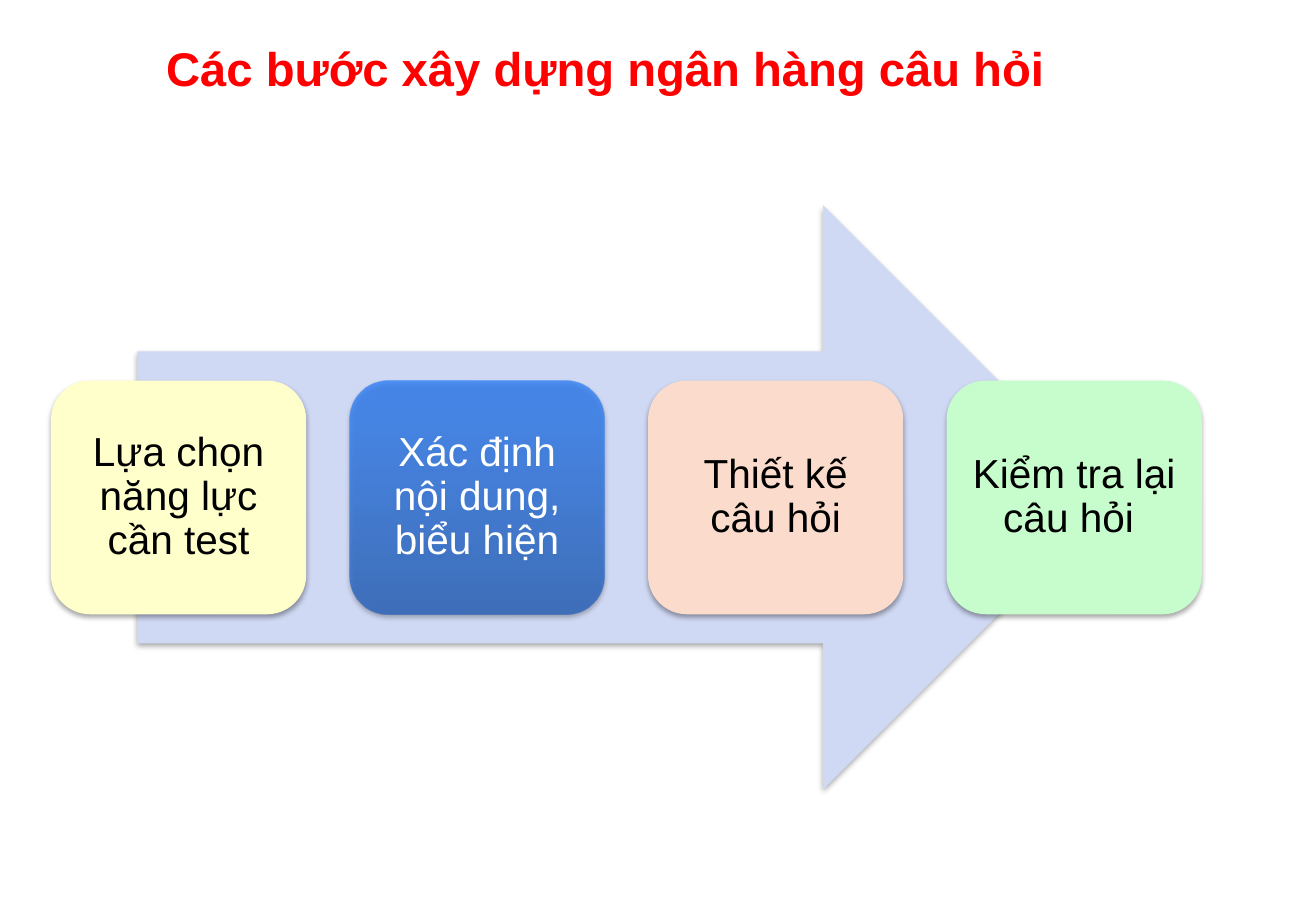
"""Build a slide with the four steps of making a question bank."""
from dataclasses import dataclass

from lxml import etree
from pptx import Presentation
from pptx.dml.color import RGBColor
from pptx.enum.shapes import MSO_SHAPE
from pptx.enum.text import MSO_ANCHOR, PP_ALIGN
from pptx.oxml.ns import qn
from pptx.util import Inches, Pt

ARROW, CARD = MSO_SHAPE.RIGHT_ARROW, MSO_SHAPE.ROUNDED_RECTANGLE
MIDDLE, CENTER = MSO_ANCHOR.MIDDLE, PP_ALIGN.CENTER


@dataclass(frozen=True)
class Theme:
    font: str = "Arial"
    head: int = 28
    body: int = 24
    red: str = "FF0000"
    black: str = "000000"
    white: str = "FFFFFF"
    band: str = "D0D9F4"
    cream: str = "FFFFCC"
    peach: str = "FBDBCB"
    mint: str = "C7FDCC"
    blue: tuple = ((0, "2561BB"), (80, "307EF2"), (100, "2D7EF7"))
    blue_alpha: int = 77
    shade_alpha: int = 35


T = Theme()
TITLE = "Các bước xây dựng ngân hàng câu hỏi"
STEPS = [
    ("Lựa chọn năng lực cần test", T.cream, T.black),
    ("Xác định nội dung, biểu hiện", T.blue, T.white),
    ("Thiết kế câu hỏi", T.peach, T.black),
    ("Kiểm tra lại câu hỏi ", T.mint, T.black),
]

WIDE, HIGH = 10.83, 7.5
LEFT, RIGHT = 0.42, 9.89
TOP, TALL = 1.69, 4.81
CARD_W, CARD_H = 2.1, 0.4 * TALL
GAP = (RIGHT - LEFT - len(STEPS) * CARD_W) / (len(STEPS) - 1)
BAND_W = 0.85 * (RIGHT - LEFT)


def tint(parent, color, alpha):
    node = etree.SubElement(parent, qn("a:srgbClr"), val=color)
    etree.SubElement(node, qn("a:alpha"), val=str(alpha * 1000))


def blend(shape, stops):
    shape.fill.gradient()
    shape.fill.gradient_angle = 90
    group = shape.element.spPr.find(".//" + qn("a:gsLst"))
    for old in list(group):
        group.remove(old)
    for at, color in stops:
        stop = etree.SubElement(group, qn("a:gs"), pos=str(at * 1000))
        tint(stop, color, T.blue_alpha)


def shade(shape):
    shape.shadow.inherit = False
    effects = shape.element.spPr.find(qn("a:effectLst"))
    drop = etree.SubElement(
        effects, qn("a:outerShdw"), blurRad=str(Pt(3.1)), dist=str(Pt(1.8)),
        dir=str(90 * 60000), rotWithShape="0")
    tint(drop, T.black, T.shade_alpha)


def block(slide, kind, box, fill):
    shape = slide.shapes.add_shape(kind, *map(Inches, box))
    if isinstance(fill, tuple):
        blend(shape, fill)
    else:
        shape.fill.solid()
        shape.fill.fore_color.rgb = RGBColor.from_string(fill)
    shape.line.fill.background()
    shade(shape)
    return shape


def write(shape, text, size, color, bold=False, pad=0.1, pitch=1.0):
    frame = shape.text_frame
    frame.word_wrap = True
    frame.vertical_anchor = MIDDLE
    frame.margin_left = frame.margin_right = Inches(pad)
    frame.margin_top = frame.margin_bottom = Inches(pad)
    line = frame.paragraphs[0]
    line.alignment = CENTER
    line.line_spacing = pitch
    run = line.add_run()
    run.text = text
    run.font.name = T.font
    run.font.size = Pt(size)
    run.font.bold = bold
    run.font.color.rgb = RGBColor.from_string(color)


def main():
    deck = Presentation()
    deck.slide_width, deck.slide_height = Inches(WIDE), Inches(HIGH)
    slide = deck.slides.add_slide(deck.slide_layouts[6])

    title = slide.shapes.add_textbox(*map(Inches, (0.33, 0.25, 9.3, 0.62)))
    write(title, TITLE, T.head, T.red, bold=True, pad=0.05)

    band_x = (LEFT + RIGHT - BAND_W) / 2
    block(slide, ARROW, (band_x, TOP, BAND_W, TALL), T.band)
    card_y = TOP + (TALL - CARD_H) / 2
    for i, (text, fill, ink) in enumerate(STEPS):
        card_x = LEFT + i * (CARD_W + GAP)
        card = block(slide, CARD, (card_x, card_y, CARD_W, CARD_H), fill)
        write(card, text, T.body, ink, pitch=0.9)

    deck.save("out.pptx")


if __name__ == "__main__":
    main()
